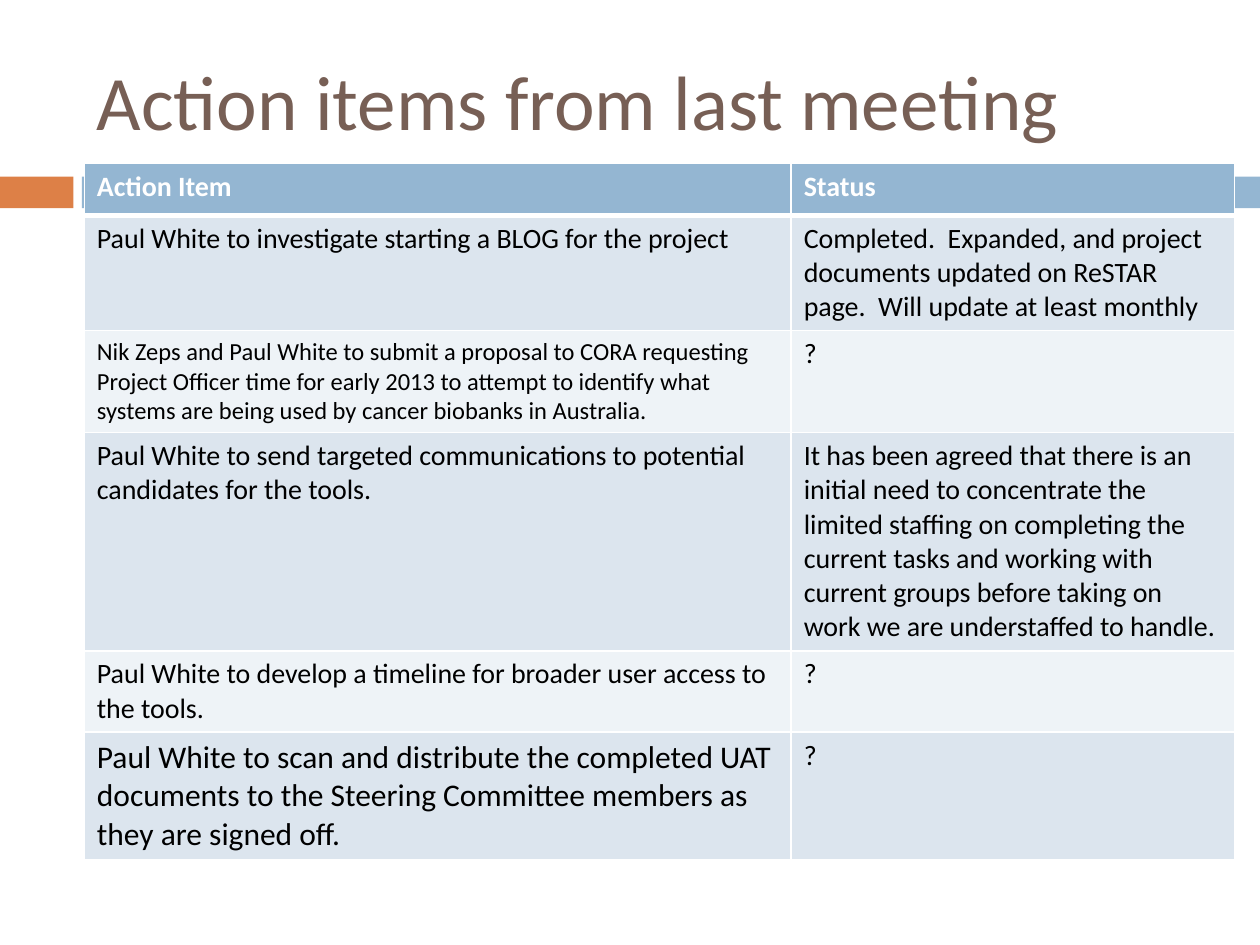
from lxml import etree
from pptx import Presentation
from pptx.dml.color import RGBColor
from pptx.enum.shapes import MSO_SHAPE
from pptx.enum.text import MSO_ANCHOR, PP_ALIGN
from pptx.oxml.ns import qn
from pptx.util import Cm, Pt

RECT = MSO_SHAPE.RECTANGLE
MIDDLE = MSO_ANCHOR.MIDDLE
LEFT = PP_ALIGN.LEFT

HUES = {"brown": "775F55", "orange": "DD8047", "blue": "94B6D2",
        "dark": "DCE5EE", "light": "EEF3F7", "white": "FFFFFF", "black": "000000"}
TITLE = "Action items from last meeting"
HEAD = ("Action Item", "Status")
ITEMS = [
    ("Paul White to investigate starting a BLOG for the project",
     "Completed.  Expanded, and project documents updated on ReSTAR page.  Will update at least monthly"),
    ("Nik Zeps and Paul White to submit a proposal to CORA requesting Project Officer time for early 2013 "
     "to attempt to identify what systems are being used by cancer biobanks in Australia.", "?"),
    ("Paul White to send targeted communications to potential candidates for the tools.",
     "It has been agreed that there is an initial need to concentrate the limited staffing on completing "
     "the current tasks and working with current groups before taking on work we are understaffed to handle."),
    ("Paul White to develop a timeline for broader user access to the tools.", "?"),
    ("Paul White to scan and distribute the completed UAT documents to the Steering Committee members "
     "as they are signed off.", "?"),
]
SIZES = {(2, 0): 14, (5, 0): 18}
BARS = [(0, 1.48, "orange"), (1.65, 23.75, "blue")]
COLS = (14.25, 8.94)
ROWS = (1.04, 2.3, 2.03, 4.4, 1.63, 2.57)


def tint(hue):
    return RGBColor.from_string(HUES[hue])


def style(para, size, hue, bold=False):
    form = {"name": "Calibri", "size": Pt(size), "bold": bold}
    for key, value in form.items():
        setattr(para.font, key, value)
    para.font.color.rgb = tint(hue)


def edge(cell, widths):
    props = cell._tc.get_or_add_tcPr()
    for spot, (side, width) in enumerate(widths.items()):
        line = etree.Element(qn("a:ln" + side), w=str(Pt(width)))
        fill = etree.SubElement(line, qn("a:solidFill"))
        etree.SubElement(fill, qn("a:srgbClr"), val=HUES["white"])
        props.insert(spot, line)


def add_bars(slide):
    for left, width, hue in BARS:
        bar = slide.shapes.add_shape(RECT, Cm(left), Cm(3.56), Cm(width), Cm(0.64))
        bar.shadow.inherit = False
        bar.fill.solid()
        bar.fill.fore_color.rgb = tint(hue)
        bar.line.fill.background()


def add_title(slide):
    title = slide.shapes.title
    place = {"left": Cm(1.7), "top": Cm(0.64), "width": Cm(22.66), "height": Cm(2.74)}
    for key, value in place.items():
        setattr(title, key, value)
    frame = title.text_frame
    frame.text = TITLE
    frame.vertical_anchor = MIDDLE
    frame.paragraphs[0].alignment = LEFT
    style(frame.paragraphs[0], 44, "brown")


def add_items(slide):
    data = [HEAD, *ITEMS]
    table = slide.shapes.add_table(len(data), len(COLS), Cm(1.7), Cm(3.3),
                                   Cm(sum(COLS)), Cm(sum(ROWS))).table
    for col, width in zip(table.columns, COLS):
        col.width = Cm(width)
    for row, height in zip(table.rows, ROWS):
        row.height = Cm(height)
    for r, texts in enumerate(data):
        top = r == 0
        back = "blue" if top else "dark" if r % 2 else "light"
        for c, text in enumerate(texts):
            cell = table.cell(r, c)
            cell.text = text
            cell.fill.solid()
            cell.fill.fore_color.rgb = tint(back)
            style(cell.text_frame.paragraphs[0], SIZES.get((r, c), 16),
                  "white" if top else "black", top)
            edge(cell, {"L": 1, "R": 1, "T": 3 if r == 1 else 1, "B": 3 if top else 1})


def main():
    deck = Presentation()
    deck.slide_width, deck.slide_height = Cm(25.4), Cm(19.05)
    slide = deck.slides.add_slide(deck.slide_layouts[5])
    add_bars(slide)
    add_title(slide)
    add_items(slide)
    deck.save("out.pptx")


if __name__ == "__main__":
    main()
